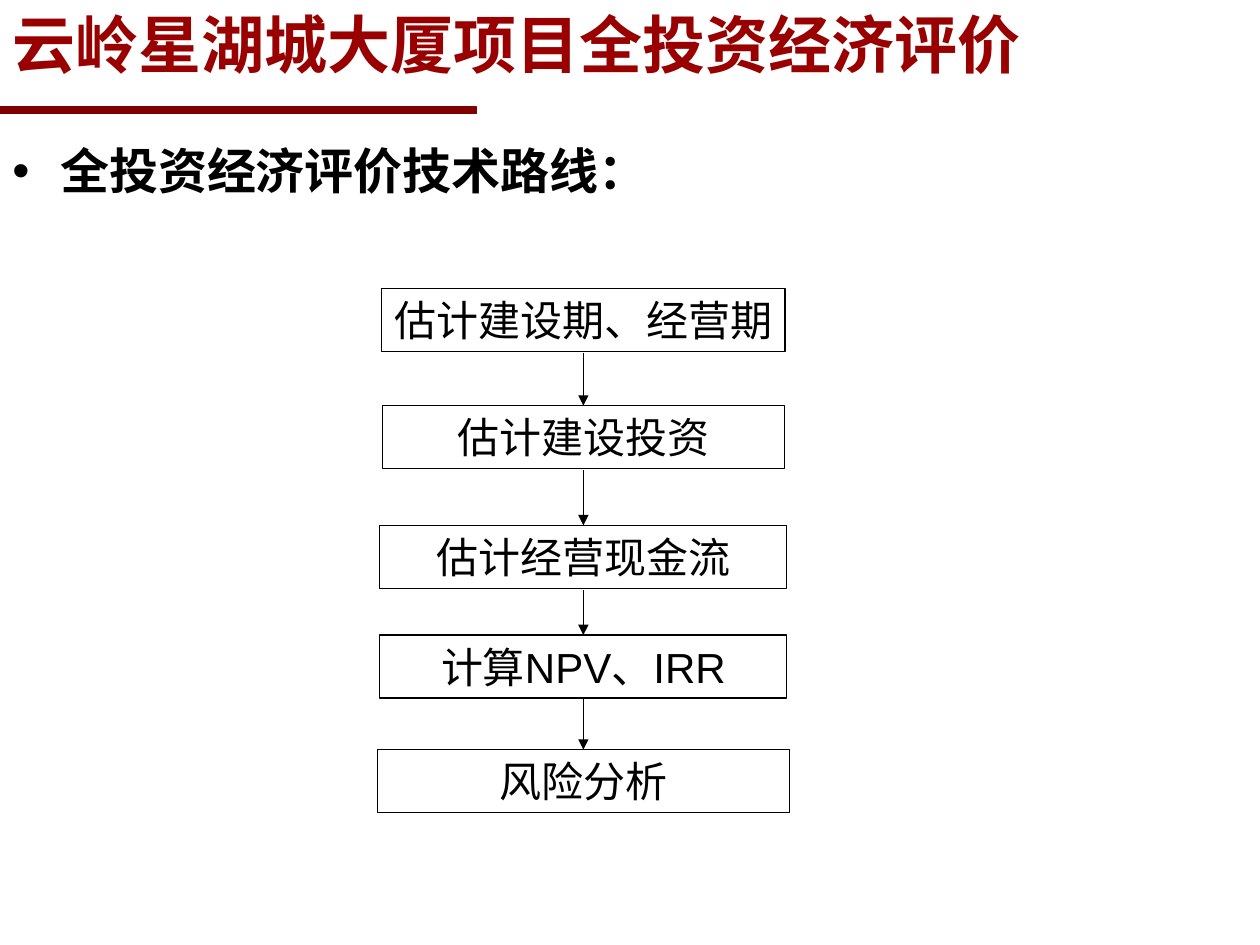
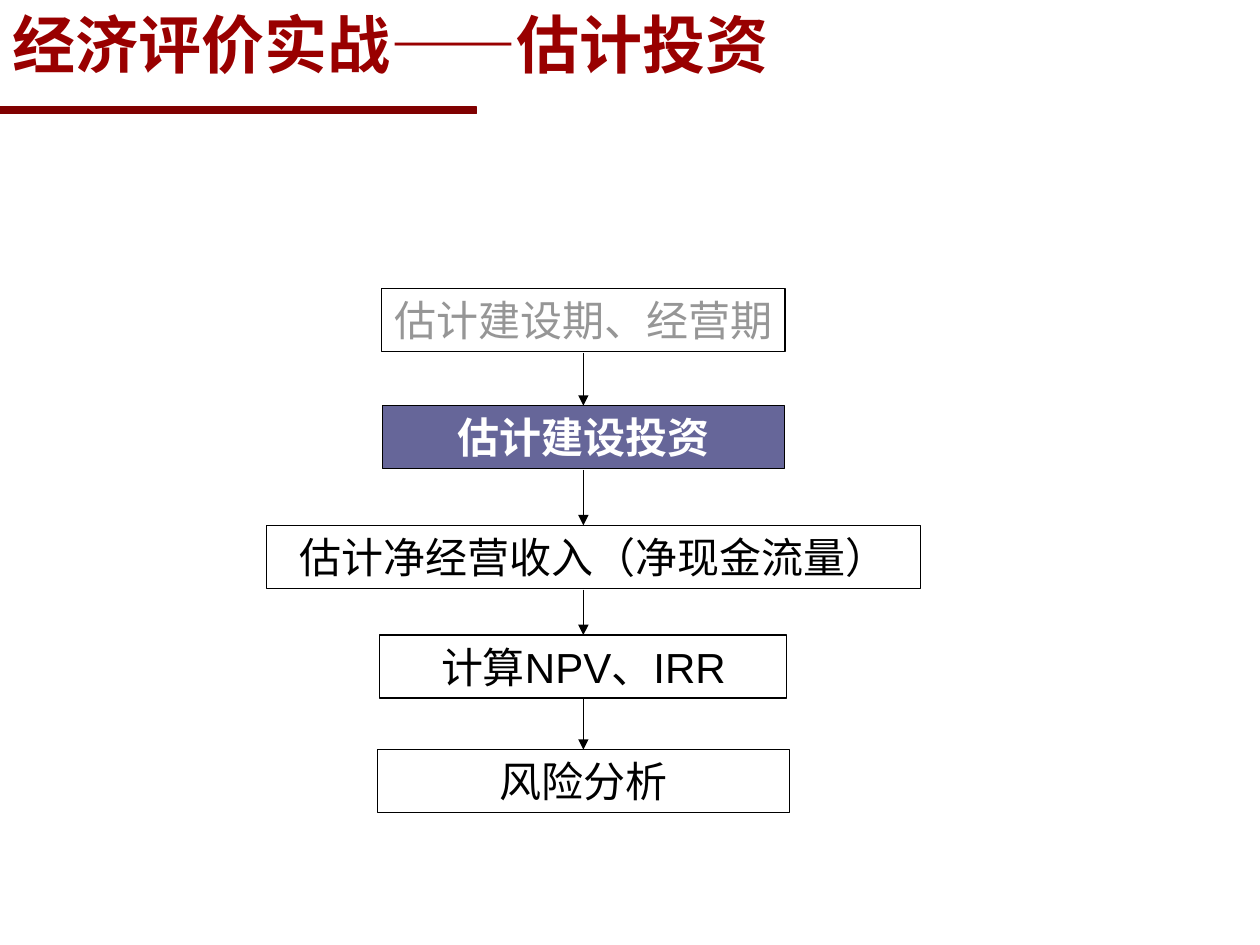
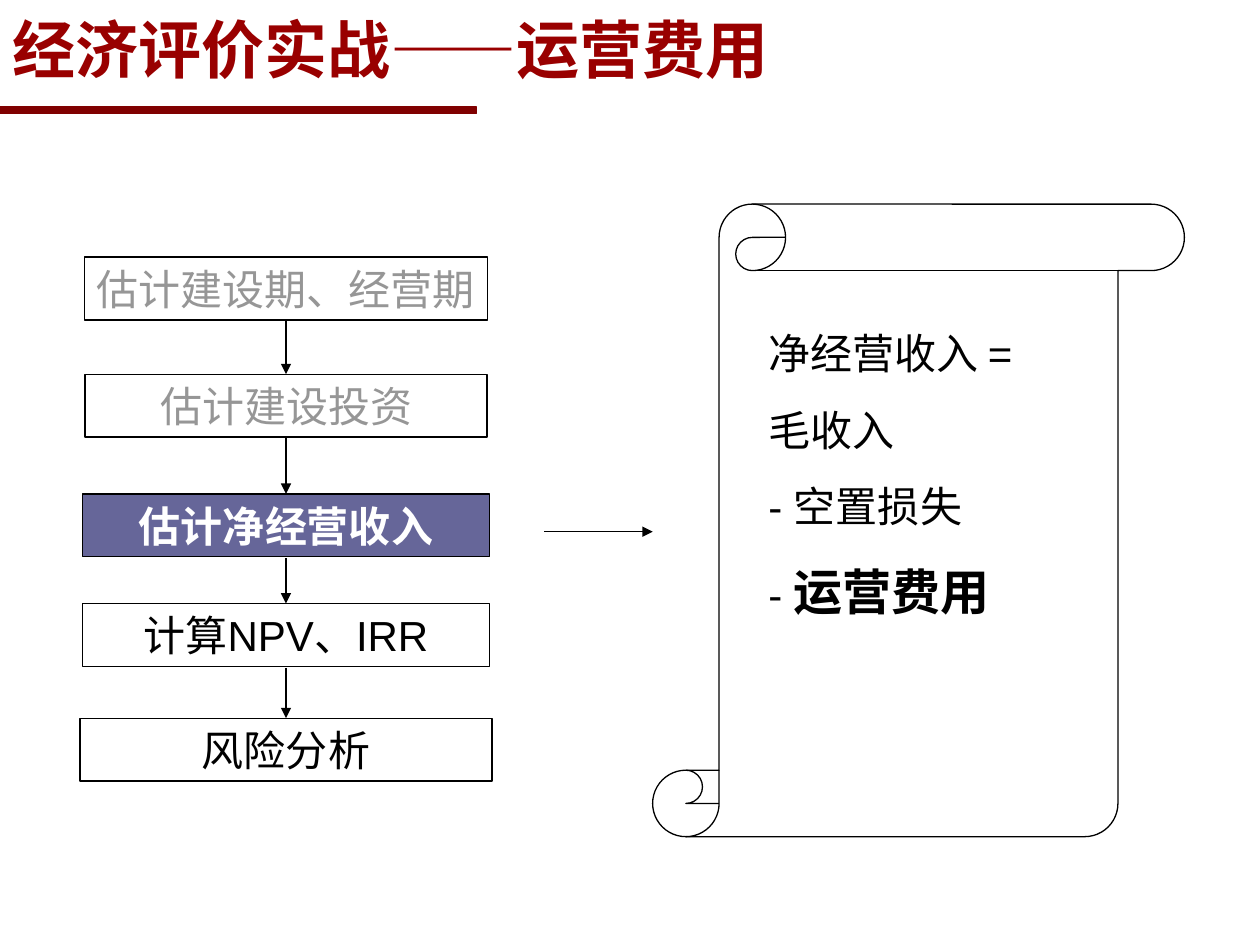
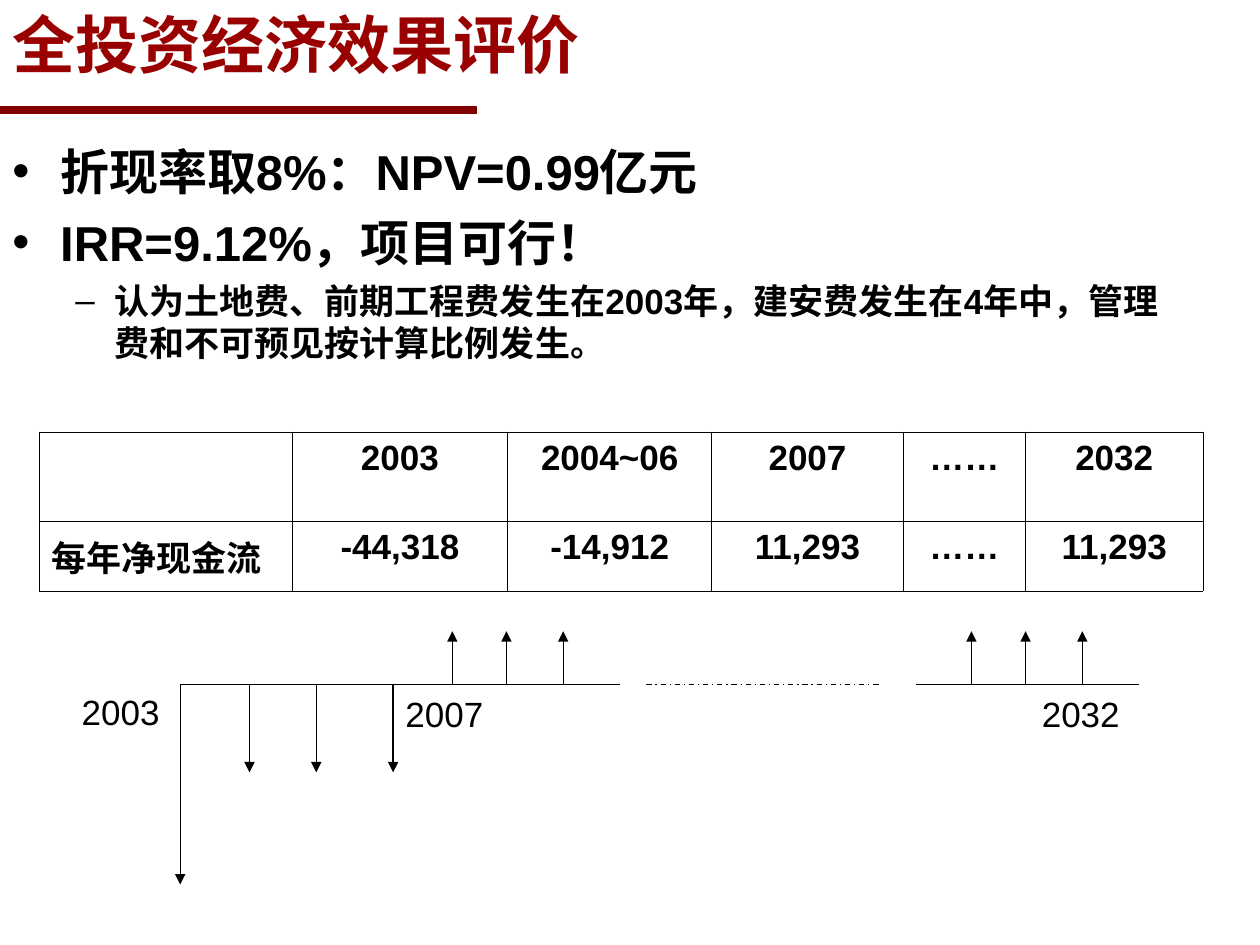
"""Build four slides on the economic appraisal of a building project."""
import lxml.etree
import pptx
import pptx.dml.color
import pptx.enum.dml
import pptx.enum.shapes
import pptx.enum.text
import pptx.oxml.ns
import pptx.util

Inches = pptx.util.Inches
Pt = pptx.util.Pt
SHAPE = pptx.enum.shapes.MSO_SHAPE
ALIGN = pptx.enum.text.PP_ALIGN
ANCHOR = pptx.enum.text.MSO_ANCHOR

FONT = "Arial"
BLACK, WHITE, GREY = "000000", "FFFFFF", "969696"
MAROON, RED, VIOLET = "800000", "990000", "666699"

AXIS = 4.63
TOPS = [2.29, 3.22, 4.17, 5.04, 5.95]
PLAN = "估计建设期、经营期"
BUILD = "估计建设投资"
VALUE = "计算NPV、IRR"
RISK = "风险分析"


def color(code):
    return pptx.dml.color.RGBColor.from_string(code)


def node(parent, tag, **attrs):
    return lxml.etree.SubElement(parent, pptx.oxml.ns.qn(tag), **attrs)


def write(frame, text, size=24, bold=False, ink=BLACK, align=ALIGN.LEFT,
          before=0, bullet=None, level=0, indent=(0, 0), join=False):
    para = frame.paragraphs[-1]
    if para.runs and not join:
        para = frame.add_paragraph()
    if not join:
        para.alignment = align
        para.level = level
        para.space_before = Pt(before)
    if bullet:
        props = para._p.get_or_add_pPr()
        props.set("marL", str(Inches(indent[0])))
        props.set("indent", str(Inches(indent[1])))
        node(props, "a:buFont", typeface=FONT)
        node(props, "a:buChar", char=bullet)
    run = para.add_run()
    run.text = text
    run.font.name = FONT
    run.font.size = Pt(size)
    run.font.bold = bold
    run.font.color.rgb = color(ink)


class Deck:
    """Hold the shared style and the current slide."""

    def __init__(self):
        self.show = pptx.Presentation()
        self.show.slide_width = Inches(10)
        self.show.slide_height = Inches(7.5)
        self.slide = None

    def page(self, title, width=8.94, height=0.67):
        self.slide = self.show.slides.add_slide(self.show.slide_layouts[6])
        self.shape(-0.01, 0.85, 3.79, 0.05, fill=MAROON, edge=MAROON)
        frame = self.text(0, 0.01, width, height)
        frame.vertical_anchor = ANCHOR.MIDDLE
        write(frame, title, size=36, bold=True, ink=RED)

    def shape(self, left, top, width, height, kind=SHAPE.RECTANGLE, fill=None, edge=BLACK):
        item = self.slide.shapes.add_shape(
            kind, Inches(left), Inches(top), Inches(width), Inches(height))
        item.shadow.inherit = False
        if fill:
            item.fill.solid()
            item.fill.fore_color.rgb = color(fill)
        else:
            item.fill.background()
        item.line.color.rgb = color(edge)
        item.line.width = Pt(0.75)
        return item

    def text(self, left, top, width, height):
        box = self.slide.shapes.add_textbox(
            Inches(left), Inches(top), Inches(width), Inches(height))
        box.text_frame.word_wrap = True
        return box.text_frame

    def line(self, x1, y1, x2, y2, arrow=True, dash=None):
        item = self.slide.shapes.add_connector(
            pptx.enum.shapes.MSO_CONNECTOR.STRAIGHT,
            Inches(x1), Inches(y1), Inches(x2), Inches(y2))
        item.line.color.rgb = color(BLACK)
        item.line.width = Pt(0.75)
        if dash:
            item.line.dash_style = dash
        props = item.element.spPr
        if arrow:
            node(props.find(pptx.oxml.ns.qn("a:ln")), "a:tailEnd", type="triangle")
        node(props, "a:effectLst")

    def bullets(self, width, height, items):
        frame = self.text(0, 1.07, width, height)
        for index, (level, words) in enumerate(items):
            mark, indent, size, gap = [("•", (0.38, -0.38), 28, 7),
                                       ("–", (0.81, -0.31), 20, 5)][level]
            write(frame, words, size=size, bold=True, before=gap if index else 0,
                  bullet=mark, level=level, indent=indent)

    def flow(self, steps, active=None, dx=0, dy=0):
        """Stack (words, width, shift) steps; those before the active one are grey."""
        axis = AXIS + dx
        tops = [top + dy for top in TOPS]
        for index, (words, width, shift) in enumerate(steps):
            on = index == active
            done = active is not None and index < active
            box = self.shape(axis + shift - width / 2, tops[index], width, 0.5,
                             fill=VIOLET if on else None)
            box.text_frame.word_wrap = False
            write(box.text_frame, words, bold=on, align=ALIGN.CENTER,
                  ink=WHITE if on else GREY if done else BLACK)
        for top, below in zip(tops, tops[1:]):
            self.line(axis, top + 0.51, axis, below)

    def table(self, left, top, widths, heights, rows):
        item = self.slide.shapes.add_table(
            len(rows), len(widths), Inches(left), Inches(top),
            Inches(sum(widths)), Inches(sum(heights)))
        grid = item.table
        grid.first_row = grid.horz_banding = False
        for column, width in zip(grid.columns, widths):
            column.width = Inches(width)
        for row, height, words in zip(grid.rows, heights, rows):
            row.height = Inches(height)
            for index, (cell, word) in enumerate(zip(row.cells, words)):
                self.border(cell)
                cell.fill.background()
                if index == 0:
                    cell.vertical_anchor = ANCHOR.MIDDLE
                if word:
                    write(cell.text_frame, word, size=20, bold=True,
                          align=ALIGN.CENTER if index else ALIGN.LEFT)

    def border(self, cell):
        props = cell._tc.get_or_add_tcPr()
        for side in ("a:lnL", "a:lnR", "a:lnT", "a:lnB"):
            edge = node(props, side, w=str(Pt(0.45)))
            node(node(edge, "a:solidFill"), "a:srgbClr", val=BLACK)


def steps(income, width=3.23, shift=0):
    return [(PLAN, 3.2, 0), (BUILD, 3.19, 0), (income, width, shift),
            (VALUE, 3.23, 0), (RISK, 3.27, 0)]


def route(deck):
    deck.page("云岭星湖城大厦项目全投资经济评价")
    deck.bullets(5.64, 0.93, [(0, "全投资经济评价技术路线：")])
    deck.flow(steps("估计经营现金流"))


def invest(deck):
    deck.page("经济评价实战——估计投资")
    deck.flow(steps("估计净经营收入（净现金流量）", 5.19, 0.08), active=1)


def costs(deck):
    deck.page("经济评价实战——运营费用", 9.69, 0.74)
    deck.flow(steps("估计净经营收入"), active=2, dx=-2.36, dy=-0.25)
    deck.shape(5.18, 1.62, 4.22, 5.02, kind=SHAPE.VERTICAL_SCROLL)
    deck.line(4.32, 4.22, 5.18, 4.22)
    frame = deck.text(6, 2.55, 2.6, 2.43)
    write(frame, "净经营收入 =")
    for words in ("毛收入", "- 空置损失"):
        write(frame, words, before=15)
    write(frame, "- ", before=17.5)
    write(frame, "运营费用", size=28, bold=True, join=True)


def result(deck):
    deck.page("全投资经济效果评价")
    deck.bullets(9.56, 2.05, [
        (0, "折现率取8%：NPV=0.99亿元"),
        (0, "IRR=9.12%，项目可行！"),
        (1, "认为土地费、前期工程费发生在2003年，建安费发生在4年中，"
            "管理费和不可预见按计算比例发生。")])
    deck.table(0.31, 3.43, [2.01, 1.71, 1.62, 1.52, 0.97, 1.41], [0.71, 0.55], [
        ["", "2003", "2004~06", "2007", "……", "2032"],
        ["每年净现金流", "-44,318", "-14,912", "11,293", "……", "11,293"]])
    base = 5.43
    deck.line(1.43, base, 4.92, base, arrow=False)
    deck.line(5.13, base, 6.98, base, arrow=False,
              dash=pptx.enum.dml.MSO_LINE.DASH_DOT)
    deck.line(7.27, base, 9.04, base, arrow=False)
    deck.line(1.43, base, 1.43, 7.02)
    for x in (1.98, 2.51, 3.12):
        deck.line(x, base, x, 6.13)
    for x in (3.59, 4.02, 4.47, 7.71, 8.14, 8.59):
        deck.line(x, base, x, 5.01)
    for year, left, top in (("2003", 0.55, 5.43), ("2007", 3.12, 5.45), ("2032", 8.17, 5.45)):
        write(deck.text(left, top, 0.87, 0.44), year, size=20)


def main():
    deck = Deck()
    for build in (route, invest, costs, result):
        build(deck)
    deck.show.save("out.pptx")


if __name__ == "__main__":
    main()
